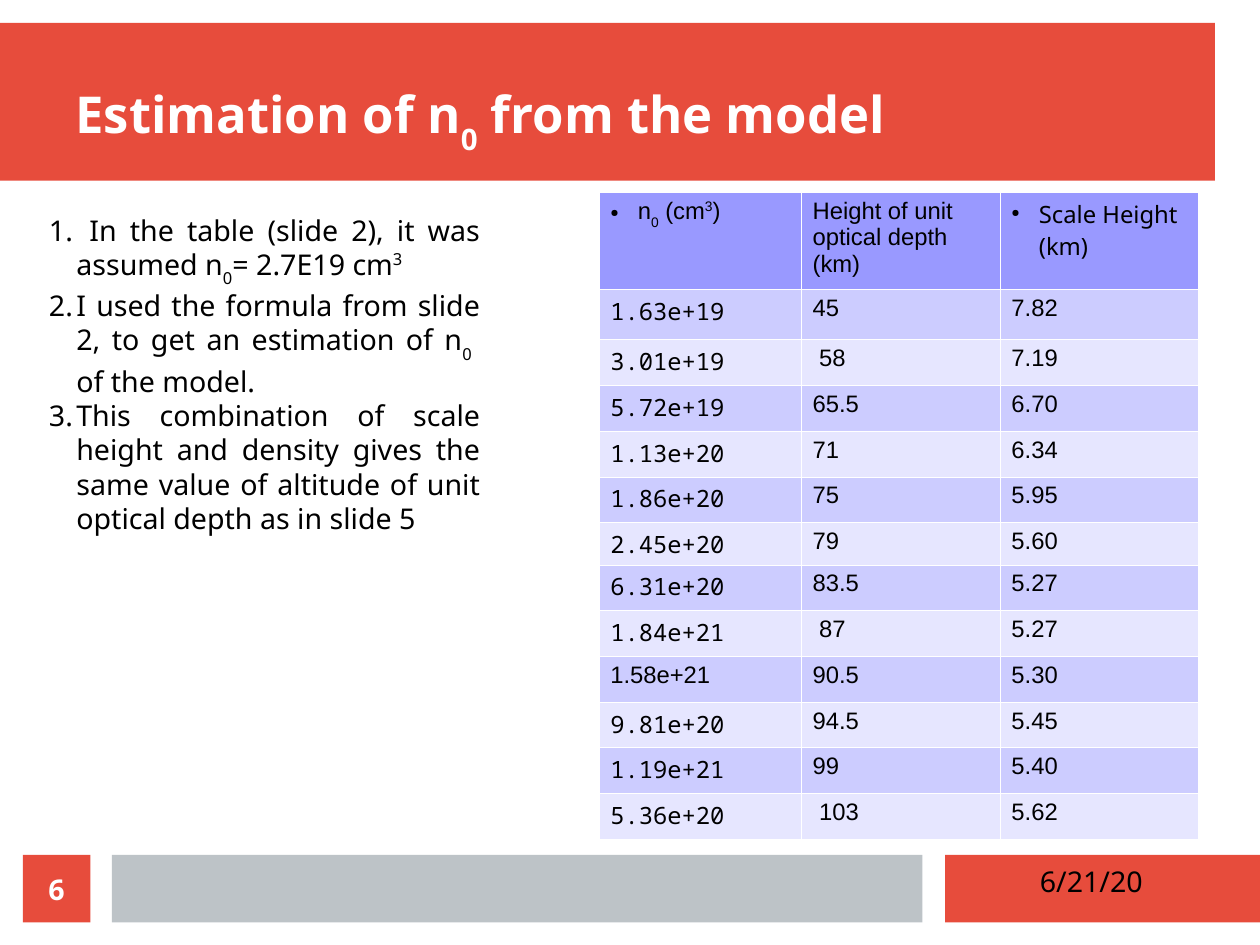
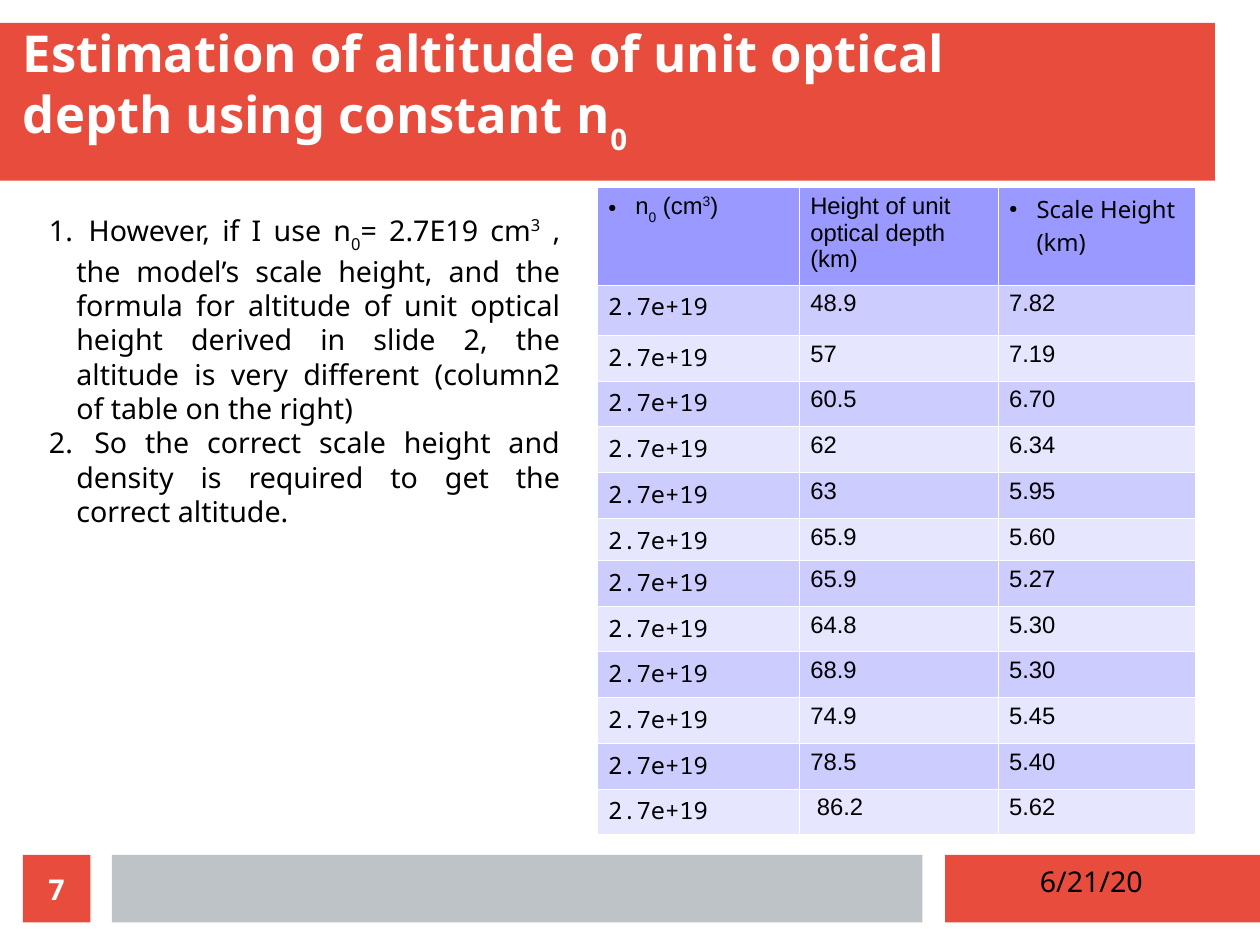
from lxml import etree
from pptx import Presentation
from pptx.dml.color import RGBColor
from pptx.enum.shapes import MSO_SHAPE
from pptx.enum.text import MSO_ANCHOR, MSO_AUTO_SIZE, PP_ALIGN
from pptx.oxml.ns import qn
from pptx.util import Emu, Inches, Pt

RECT = MSO_SHAPE.RECTANGLE
MIDDLE, BOTTOM = MSO_ANCHOR.MIDDLE, MSO_ANCHOR.BOTTOM
LEFT, CENTER, JUSTIFY = PP_ALIGN.LEFT, PP_ALIGN.CENTER, PP_ALIGN.JUSTIFY
NO_FIT = MSO_AUTO_SIZE.NONE

SLIDE_WIDTH, SLIDE_HEIGHT = Emu(10080625), Emu(7559675)
RED, GREY, WHITE, BLACK = "E74C3C", "BDC3C7", "FFFFFF", "000000"
HEAD_FILL, ROW_FILLS = "9999FF", ("CCCCFF", "E6E6FF")
SANS, MONO, ARIAL = "Noto Sans", "Noto Sans Mono", "Arial"
TITLE = dict(name=SANS, size=Pt(32), bold=True, color=WHITE)
BODY = dict(name=SANS, size=Pt(18), color=BLACK)
NUMBER = dict(BODY, bold=True, color=WHITE)
CELL = dict(name=ARIAL, size=Pt(15), color=BLACK)
BASELINES = {"_": "-33000", "^": "33000"}
HANG = 0.24
FOOT_TOP, FOOT_HEIGHT = 7.48, 0.59
BANDS = [
    ((0, 0.2, 10.63, 1.38), RED),
    ((8.27, FOOT_TOP, 2.76, FOOT_HEIGHT), RED),
    ((0.98, FOOT_TOP, 7.09, FOOT_HEIGHT), GREY),
]
COL_WIDTHS = [1.77, 1.74, 1.73]
ROW_HEIGHTS = [0.84, 0.44] + [0.4] * 4 + [0.37] + [0.4] * 6
HEADERS = [
    ("n|_0| (cm|^3|)", ARIAL, True),
    ("Height of unit optical depth (km)", ARIAL, False),
    ("Scale Height (km)", SANS, True),
]


def rgb(value):
    """Turn a hex string into a colour."""
    return RGBColor.from_string(value)


def inches(box):
    """Convert a box in inches to lengths."""
    return [Inches(v) for v in box]


def write(p, text, style, align=LEFT):
    """Write runs split by |, where _ lowers and ^ raises a run."""
    p.alignment = align
    for part in text.split("|"):
        r = p.add_run()
        base = BASELINES.get(part[0])
        r.text = part[1:] if base else part
        for key, value in style.items():
            if key == "color":
                r.font.color.rgb = rgb(value)
            else:
                setattr(r.font, key, value)
        if base:
            r.font._element.set("baseline", base)


def bullet(p, tag, size=None, **attrs):
    """Give a paragraph a hanging black bullet or number."""
    pPr = p._p.get_or_add_pPr()
    pPr.set("marL", str(Inches(HANG)))
    pPr.set("indent", str(-Inches(HANG)))
    color = etree.SubElement(pPr, qn("a:buClr"))
    etree.SubElement(color, qn("a:srgbClr"), val=BLACK)
    if size:
        etree.SubElement(pPr, qn("a:buSzPct"), val=size)
    etree.SubElement(pPr, qn(tag), **attrs)


def add_rect(s, box, fill):
    """Add a plain filled rectangle."""
    sp = s.shapes.add_shape(RECT, *inches(box))
    sp.shadow.inherit = False
    sp.fill.solid()
    sp.fill.fore_color.rgb = rgb(fill)
    sp.line.fill.background()
    return sp


def set_frame(tf, margin, **values):
    """Set equal margins and other values of a text frame."""
    for side in ("left", "top", "right", "bottom"):
        setattr(tf, "margin_" + side, Inches(margin))
    for key, value in values.items():
        setattr(tf, key, value)


def move_bands_to_layout(s):
    """Draw the shared bands and hand them to the layout of the slide."""
    tree = s.slide_layout.shapes.element
    for i, (box, fill) in enumerate(BANDS):
        sp = add_rect(s, box, fill)
        sp.element.nvSpPr.cNvPr.set("id", str(20 + i))
        tree.append(sp.element)


def add_title(s, text, indent):
    """Place and format the title placeholder."""
    sp = s.shapes.title
    sp.left, sp.top, sp.width, sp.height = inches((0.2, 0.39, 10.24, 0.98))
    tf = sp.text_frame
    set_frame(tf, 0, vertical_anchor=BOTTOM, word_wrap=True, auto_size=NO_FIT)
    p = tf.paragraphs[0]
    p._p.get_or_add_pPr().set("marL", str(Inches(indent)))
    first, *rest = text.split("\n")
    write(p, first, TITLE)
    for line in rest:
        p.add_line_break()
        write(p, line, TITLE)


def add_footer(s, number):
    """Add the date and the slide number."""
    date = s.shapes.add_textbox(*inches((9, 7.51, 1.27, 0.49))).text_frame
    date.word_wrap = False
    write(date.paragraphs[0], "6/21/20", BODY)
    box = (0.2, FOOT_TOP, FOOT_HEIGHT, FOOT_HEIGHT)
    tf = add_rect(s, box, RED).text_frame
    set_frame(tf, 0, vertical_anchor=MIDDLE)
    write(tf.paragraphs[0], str(number), NUMBER, CENTER)


def add_points(s, box, points):
    """Add a justified numbered list."""
    tf = s.shapes.add_textbox(*inches(box)).text_frame
    tf.word_wrap = True
    for i, text in enumerate(points):
        p = tf.add_paragraph() if i else tf.paragraphs[0]
        bullet(p, "a:buAutoNum", type="arabicPeriod")
        write(p, text, BODY, JUSTIFY)


def format_cell(cell, fill):
    """Give a cell thin white borders and a fill."""
    tcPr = cell._tc.get_or_add_tcPr()
    for side in ("L", "R", "T", "B"):
        ln = etree.SubElement(tcPr, qn("a:ln" + side), w=str(Pt(0.06)))
        solid = etree.SubElement(ln, qn("a:solidFill"))
        etree.SubElement(solid, qn("a:srgbClr"), val=WHITE)
    cell.fill.solid()
    cell.fill.fore_color.rgb = rgb(fill)


def add_density_table(s, left, top, rows, arial_values):
    """Add the table of density, height and scale height."""
    box = (left, top, sum(COL_WIDTHS), sum(ROW_HEIGHTS))
    table = s.shapes.add_table(len(rows) + 1, len(HEADERS), *inches(box)).table
    table.first_row = table.horz_banding = False
    for col, width in zip(table.columns, COL_WIDTHS):
        col.width = Inches(width)
    for row, height in zip(table.rows, ROW_HEIGHTS):
        row.height = Inches(height)
    for c, (text, font, marked) in enumerate(HEADERS):
        cell = table.cell(0, c)
        format_cell(cell, HEAD_FILL)
        p = cell.text_frame.paragraphs[0]
        if marked:
            bullet(p, "a:buChar", size="45000", char="●")
        write(p, text, dict(CELL, name=font))
    for r, values in enumerate(rows):
        for c, text in enumerate(values):
            cell = table.cell(r + 1, c)
            format_cell(cell, ROW_FILLS[r % 2])
            font = MONO if c == 0 and text not in arial_values else ARIAL
            write(cell.text_frame.paragraphs[0], text, dict(CELL, name=font))


SLIDES = [
    dict(
        number=6, title="Estimation of n|_0| from the model", indent=0.46,
        points_box=(0.33, 1.81, 3.97, 3.26), table_at=(5.24, 1.68),
        points=[
            " In the table (slide 2), it was assumed n|_0|= 2.7E19 cm|^3",
            "I used the formula from slide 2, to get an estimation of n|_0 |"
            " of the model.",
            "This combination of scale height and density gives the same value"
            " of altitude of unit optical depth as in slide 5",
        ],
        arial_values=["1.58e+21"],
        rows=[
            ("1.63e+19", "45", "7.82"), ("3.01e+19", " 58", "7.19"),
            ("5.72e+19", "65.5", "6.70"), ("1.13e+20", "71", "6.34"),
            ("1.86e+20", "75", "5.95"), ("2.45e+20", "79", "5.60"),
            ("6.31e+20", "83.5", "5.27"), ("1.84e+21", " 87", "5.27"),
            ("1.58e+21", "90.5", "5.30"), ("9.81e+20", "94.5", "5.45"),
            ("1.19e+21", "99", "5.40"), ("5.36e+20", " 103", "5.62"),
        ],
    ),
    dict(
        number=7, indent=0,
        title="Estimation of altitude of unit optical\n"
              "depth using constant n|_0",
        points_box=(0.33, 1.81, 4.67, 4.22), table_at=(5.22, 1.64),
        points=[
            " However, if I use n|_0|= 2.7E19 cm|^3| , the model’s scale height,"
            " and the formula for altitude of unit optical height derived in"
            " slide 2, the altitude is very different (column2 of table on the"
            " right)",
            " So the correct scale height and density is required to get the"
            " correct altitude.",
        ],
        arial_values=[],
        rows=[("2.7e+19", height, scale) for height, scale in [
            ("48.9", "7.82"), ("57", "7.19"), ("60.5", "6.70"),
            ("62", "6.34"), ("63", "5.95"), ("65.9", "5.60"),
            ("65.9", "5.27"), ("64.8", "5.30"), ("68.9", "5.30"),
            ("74.9", "5.45"), ("78.5", "5.40"), (" 86.2", "5.62"),
        ]],
    ),
]


def main():
    """Build and save the slides."""
    prs = Presentation()
    prs.slide_width, prs.slide_height = SLIDE_WIDTH, SLIDE_HEIGHT
    layout = prs.slide_layouts[5]
    for i, data in enumerate(SLIDES):
        s = prs.slides.add_slide(layout)
        if i == 0:
            move_bands_to_layout(s)
        add_title(s, data["title"], data["indent"])
        add_points(s, data["points_box"], data["points"])
        add_density_table(s, *data["table_at"], data["rows"],
                          data["arial_values"])
        add_footer(s, data["number"])
    prs.save("out.pptx")


if __name__ == "__main__":
    main()
